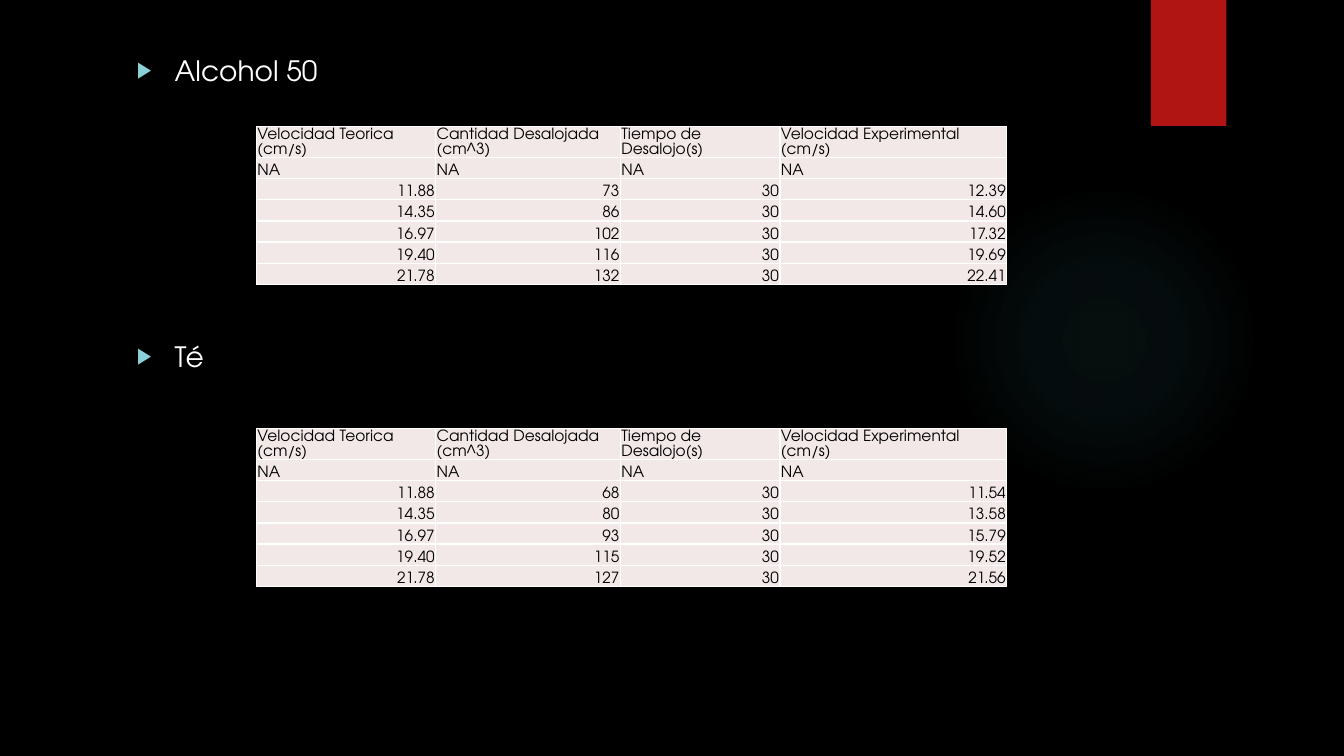
"""Builds the slide with measured outflow speeds for alcohol and tea."""
from lxml.etree import SubElement
from pptx import Presentation
from pptx.dml.color import RGBColor
from pptx.enum.shapes import MSO_SHAPE as Shape
from pptx.enum.text import MSO_ANCHOR as Anchor, PP_ALIGN as Align
from pptx.oxml import parse_xml
from pptx.oxml.ns import nsdecls, qn
from pptx.util import Pt

FONT = "TeX Gyre Adventor"
COLORS = {
    "background": "000000",
    "glow": "50B9C1",
    "tag": "B01513",
    "bullet": "8AD0D6",
    "heading": "FFFFFF",
    "cell": "F2E8E7",
    "cell_text": "000000",
    "border": "FFFFFF",
}


def rgb(name):
    return RGBColor.from_string(COLORS[name])


def add_run(paragraph, text, size, color):
    run = paragraph.add_run()
    run.text = text
    run.font.name = FONT
    run.font.size = Pt(size)
    run.font.color.rgb = rgb(color)


prs = Presentation()
prs.slide_width, prs.slide_height = Pt(960), Pt(540)
slide = prs.slides.add_slide(prs.slide_layouts[6])
slide.background.fill.solid()
slide.background.fill.fore_color.rgb = rgb("background")

glow = slide.shapes.add_shape(Shape.OVAL, Pt(677.5), Pt(131.8), Pt(221.8), Pt(221.8))
glow.shadow.inherit = False
glow.line.fill.background()
stops = "".join(
    f'<a:gs pos="{position * 1000}"><a:srgbClr val="{COLORS["glow"]}">'
    f'<a:alpha val="{alpha * 1000}"/></a:srgbClr></a:gs>'
    for position, alpha in ((0, 7), (36, 6), (69, 0))
)
glow_fill = parse_xml(
    f'<a:gradFill {nsdecls("a")} rotWithShape="1"><a:gsLst>{stops}</a:gsLst>'
    '<a:path path="circle"><a:fillToRect l="50000" t="50000" r="50000" b="50000"/></a:path>'
    "</a:gradFill>"
)
glow.element.spPr.find(qn("a:prstGeom")).addnext(glow_fill)

tag = slide.shapes.add_shape(Shape.RECTANGLE, Pt(822), 0, Pt(54), Pt(90))
tag.shadow.inherit = False
tag.fill.solid()
tag.fill.fore_color.rgb = rgb("tag")
tag.line.fill.background()

liquids = slide.shapes.add_textbox(Pt(90.7), Pt(34.6), Pt(704), Pt(330.5)).text_frame
liquids.word_wrap = True
for index, liquid in enumerate(("Alcohol 50", "Té")):
    heading = liquids.add_paragraph() if index else liquids.paragraphs[0]
    properties = heading._p.get_or_add_pPr()
    properties.set("marL", str(Pt(27)))
    properties.set("indent", str(Pt(-27)))
    if index:
        heading.space_before = Pt(180)
    bullet_color = SubElement(properties, qn("a:buClr"))
    SubElement(bullet_color, qn("a:srgbClr"), val=COLORS["bullet"])
    SubElement(properties, qn("a:buSzPct"), val="80000")
    SubElement(properties, qn("a:buFont"), typeface="Arial")
    SubElement(properties, qn("a:buChar"), char="▶")
    add_run(heading, liquid, 20, "heading")

titles = (
    "Velocidad Teorica (cm/s)",
    "Cantidad Desalojada (cm^3)",
    "Tiempo de Desalojo(s)",
    "Velocidad Experimental (cm/s)",
)
theoretical = ("11.88", "14.35", "16.97", "19.40", "21.78")
trials = (
    (90.5, ("73", "86", "102", "116", "132"), ("12.39", "14.60", "17.32", "19.69", "22.41")),
    (306.2, ("68", "80", "93", "115", "127"), ("11.54", "13.58", "15.79", "19.52", "21.56")),
)
column_widths = (128, 132, 114, 162)
row_heights = (22.1,) + (15.1,) * 6

for top, amounts, measured in trials:
    rows = [titles, ("NA",) * 4]
    rows += [(speed, amount, "30", result)
             for speed, amount, result in zip(theoretical, amounts, measured)]
    table = slide.shapes.add_table(
        len(rows), len(titles), Pt(183.2), Pt(top),
        Pt(sum(column_widths)), Pt(sum(row_heights)),
    ).table
    table.first_row = table.horz_banding = False
    for column, width in zip(table.columns, column_widths):
        column.width = Pt(width)
    for row_index, (row, height) in enumerate(zip(rows, row_heights)):
        table.rows[row_index].height = Pt(height)
        for column_index, value in enumerate(row):
            cell = table.cell(row_index, column_index)
            cell.vertical_anchor = Anchor.BOTTOM
            cell.margin_left = cell.margin_right = cell.margin_top = Pt(0.7)
            cell.margin_bottom = 0
            entry = cell.text_frame.paragraphs[0]
            entry.alignment = Align.RIGHT if row_index > 1 else Align.LEFT
            if row_index == 0:
                entry.line_spacing = Pt(10.5)
            add_run(entry, value, 11, "cell_text")
            cell_properties = cell._tc.get_or_add_tcPr()
            for side in ("lnL", "lnR", "lnT", "lnB"):
                border = SubElement(cell_properties, qn(f"a:{side}"), w=str(Pt(1)))
                border_fill = SubElement(border, qn("a:solidFill"))
                SubElement(border_fill, qn("a:srgbClr"), val=COLORS["border"])
            cell.fill.solid()
            cell.fill.fore_color.rgb = rgb("cell")

prs.save("out.pptx")
